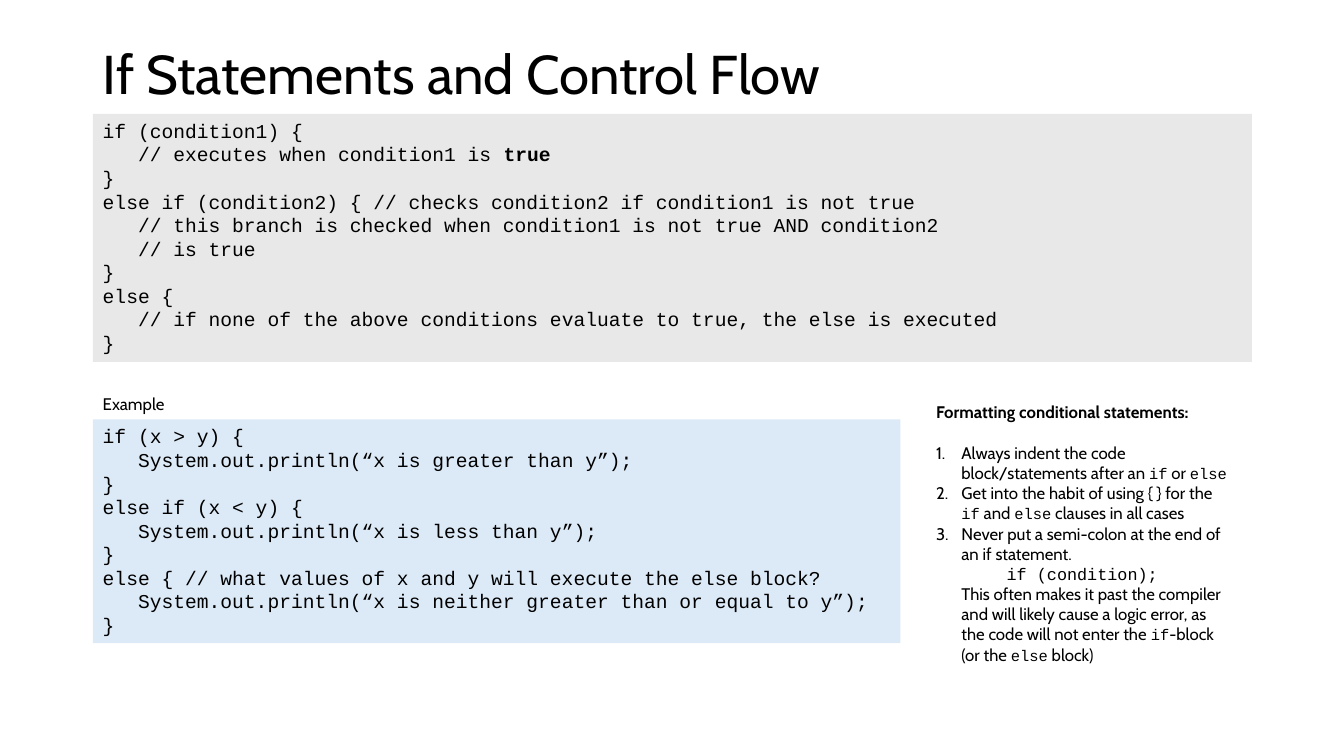
from lxml import etree
from pptx import Presentation
from pptx.dml.color import RGBColor
from pptx.enum.shapes import MSO_SHAPE
from pptx.enum.text import MSO_ANCHOR, PP_ALIGN
from pptx.oxml.ns import qn
from pptx.util import Cm, Pt

RECTANGLE = MSO_SHAPE.RECTANGLE
TOP, MIDDLE = MSO_ANCHOR.TOP, MSO_ANCHOR.MIDDLE
LEFT, JUSTIFY = PP_ALIGN.LEFT, PP_ALIGN.JUSTIFY

BODY_FONT, CODE_FONT = "Cabin", "Courier New"
BLACK, GREY, PALE_BLUE = "000000", "E8E8E8", "DCEAF7"
CODE_INDENT = 0.89
LIST_INDENT = 0.64

SYNTAX = [
    (0, "if (condition1) {"),
    (1, "// executes when condition1 is **true"),
    (0, "}"),
    (0, "else if (condition2) { // checks condition2 if condition1 is not true"),
    (1, "// this branch is checked when condition1 is not true AND condition2"),
    (1, "// is true"),
    (0, "}"),
    (0, "else {"),
    (1, "// if none of the above conditions evaluate to true, the else is executed"),
    (0, "}"),
]
EXAMPLE = [
    (0, "if (x > y) {"),
    (1, "System.out.println(“x is greater than y”);"),
    (0, "}"),
    (0, "else if (x < y) {"),
    (1, "System.out.println(“x is less than y”);"),
    (0, "}"),
    (0, "else { // what values of x and y will execute the else block?"),
    (1, "System.out.println(“x is neither greater than or equal to y”);"),
    (0, "}"),
]
RULES = [
    "Always indent the code block/statements after an `if` or `else",
    "Get into the habit of using { } for the `if` and `else` clauses in all cases",
    "Never put a semi-colon at the end of an if statement.",
]
WARNING = ("This often makes it past the compiler and will likely cause a logic error, "
           "as the code will not enter the `if`-block (or the `else` block)")


def colour(value):
    return RGBColor.from_string(value)


def style(span, size, font=BODY_FONT, bold=False):
    span.font.size = Pt(size)
    span.font.name = font
    span.font.bold = bold
    span.font.color.rgb = colour(BLACK)


def indent(para, left, first=0):
    properties = para._p.get_or_add_pPr()
    properties.set("marL", str(Cm(left)))
    properties.set("indent", str(Cm(first)))
    return properties


def next_para(frame, index):
    return frame.add_paragraph() if index else frame.paragraphs[0]


def text_box(page, left, top, width, height):
    box = page.shapes.add_textbox(Cm(left), Cm(top), Cm(width), Cm(height))
    box.text_frame.word_wrap = True
    return box.text_frame


def title(page, left, top, width, height):
    frame = text_box(page, left, top, width, height)
    frame.vertical_anchor = MIDDLE
    para = frame.paragraphs[0]
    para.text = "If Statements and Control Flow"
    para.alignment = JUSTIFY
    para.line_spacing = 0.9
    style(para.runs[0], 39)


def label(page, left, top, width, height):
    frame = text_box(page, left, top, width, height)
    frame.text = "Example"
    style(frame.paragraphs[0].runs[0], 12)


def code_panel(page, left, top, width, height, fill, lines):
    box = page.shapes.add_shape(RECTANGLE, Cm(left), Cm(top), Cm(width), Cm(height))
    box.shadow.inherit = False
    box.fill.solid()
    box.fill.fore_color.rgb = colour(fill)
    box.line.fill.background()
    frame = box.text_frame
    frame.word_wrap = True
    frame.vertical_anchor = TOP
    for index, (depth, line) in enumerate(lines):
        para = next_para(frame, index)
        para.alignment = LEFT
        indent(para, depth * CODE_INDENT)
        for part, text in enumerate(line.split("**")):
            span = para.add_run()
            span.text = text
            style(span, 14, CODE_FONT, bold=part == 1)


def mixed_text(para, text):
    for part, piece in enumerate(text.split("`")):
        span = para.add_run()
        span.text = piece
        if part % 2:
            style(span, 11, CODE_FONT)
        else:
            style(span, 12)


def formatting_notes(page, left, top, width, height):
    frame = text_box(page, left, top, width, height)
    heading = frame.paragraphs[0]
    heading.text = "Formatting conditional statements:"
    heading.space_after = Pt(14.5)
    style(heading.runs[0], 12, bold=True)
    for rule in RULES:
        para = frame.add_paragraph()
        properties = indent(para, LIST_INDENT, -LIST_INDENT)
        etree.SubElement(properties, qn("a:buAutoNum"), type="arabicPeriod")
        mixed_text(para, rule)
    snippet = frame.add_paragraph()
    snippet.text = "if (condition);"
    indent(snippet, 1.78)
    style(snippet.runs[0], 12, CODE_FONT)
    warning = frame.add_paragraph()
    indent(warning, LIST_INDENT)
    mixed_text(warning, WARNING)


def main():
    deck = Presentation()
    deck.slide_width, deck.slide_height = Cm(33.87), Cm(19.05)
    page = deck.slides.add_slide(deck.slide_layouts[6])
    margin, full_width = 2.34, 29.21
    title(page, margin, 1.02, full_width, 1.85)
    code_panel(page, margin, 2.87, full_width, 6.25, GREY, SYNTAX)
    code_panel(page, margin, 10.57, 20.35, 5.64, PALE_BLUE, EXAMPLE)
    formatting_notes(page, 23.34, 10.01, 7.9, 6.93)
    label(page, margin, 9.8, 7.9, 0.76)
    deck.save("out.pptx")


if __name__ == "__main__":
    main()
